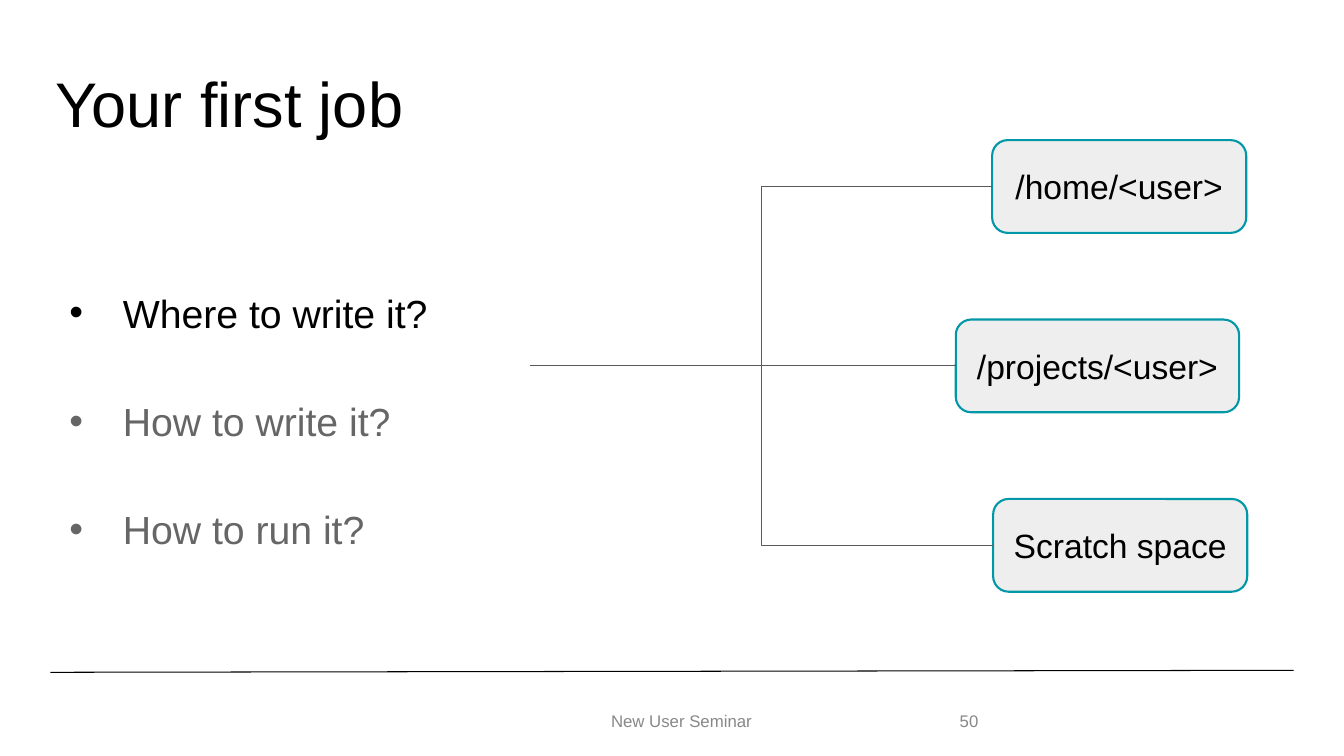
from dataclasses import dataclass

from lxml import etree
from pptx import Presentation
from pptx import util as u
from pptx.dml.color import RGBColor
from pptx.enum import shapes, text
from pptx.oxml.ns import qn

EMU_PER_PX = 9144  # 100 px to the inch
FONT = "Arial"
BLACK = RGBColor(0x00, 0x00, 0x00)
GREY = RGBColor(0x66, 0x66, 0x66)
FOOTER_GREY = RGBColor(0x88, 0x88, 0x88)
BRANCH_GREY = RGBColor(0x59, 0x59, 0x59)
BOX_FILL = RGBColor(0xEE, 0xEE, 0xEE)
TEAL = RGBColor(0x00, 0x97, 0xA7)


@dataclass
class Label:
    wording: str
    left: int
    top: int
    width: int
    height: int
    size: int
    color: RGBColor
    align: text.PP_ALIGN = text.PP_ALIGN.LEFT
    line_spacing: float = 1.0


@dataclass
class Location:
    wording: str
    left: int
    width: int
    branch: shapes.MSO_CONNECTOR


@dataclass
class Question:
    wording: str
    color: RGBColor


LABELS = [
    Label("Your first job", 45, 65, 1242, 83, 45, BLACK, line_spacing=0.9),
    Label("New User Seminar", 451, 695, 450, 40, 12, FOOTER_GREY, text.PP_ALIGN.CENTER),
    Label("50", 942, 695, 75, 40, 12, FOOTER_GREY),
]
QUESTIONS = [
    Question("Where to write it?", BLACK),
    Question("How to write it?", GREY),
    Question("How to run it?", GREY),
]
LOCATIONS = [
    Location("/home/<user>", 984, 252, shapes.MSO_CONNECTOR.ELBOW),
    Location("/projects/<user>", 948, 281, shapes.MSO_CONNECTOR.STRAIGHT),
    Location("Scratch space", 985, 252, shapes.MSO_CONNECTOR.ELBOW),
]
LOCATION_TOP, LOCATION_PITCH, LOCATION_HEIGHT = 139, 178, 92
BRANCH_START = (526, 363)


def px(length: int) -> u.Emu:
    return u.Emu(length * EMU_PER_PX)


def set_font(paragraph, size: int, color: RGBColor) -> None:
    paragraph.font.name = FONT
    paragraph.font.size = u.Pt(size)
    paragraph.font.color.rgb = color


def add_bullet(paragraph, color: RGBColor) -> None:
    properties = paragraph._p.get_or_add_pPr()
    properties.set("marL", str(px(67)))
    properties.set("indent", str(px(-53)))
    bullet_color = etree.SubElement(properties, qn("a:buClr"))
    etree.SubElement(bullet_color, qn("a:srgbClr"), val=str(color))
    etree.SubElement(properties, qn("a:buFont"), typeface=FONT)
    etree.SubElement(properties, qn("a:buChar"), char="•")


def add_line(slide, kind: shapes.MSO_CONNECTOR, start: tuple[int, int],
             end: tuple[int, int], color: RGBColor):
    line = slide.shapes.add_connector(kind, *map(px, start + end))
    line.line.color.rgb = color
    line.line.width = u.Pt(0.75)
    etree.SubElement(line._element.spPr, qn("a:effectLst"))
    return line


def add_label(slide, label: Label) -> None:
    box = slide.shapes.add_textbox(px(label.left), px(label.top),
                                   px(label.width), px(label.height))
    frame = box.text_frame
    frame.word_wrap = True
    frame.vertical_anchor = text.MSO_ANCHOR.MIDDLE
    paragraph = frame.paragraphs[0]
    paragraph.text = label.wording
    paragraph.alignment = label.align
    paragraph.line_spacing = label.line_spacing
    set_font(paragraph, label.size, label.color)


def add_questions(slide, questions: list[Question]) -> None:
    frame = slide.shapes.add_textbox(px(45), px(235), px(513), px(389)).text_frame
    frame.word_wrap = True
    for index, question in enumerate(questions):
        paragraph = frame.add_paragraph() if index else frame.paragraphs[0]
        paragraph.text = question.wording
        add_bullet(paragraph, question.color)
        paragraph.line_spacing = 2.0
        paragraph.space_before = u.Pt(10 if index else 0)
        set_font(paragraph, 28, question.color)


def add_location(slide, location: Location, top: int) -> None:
    box = slide.shapes.add_shape(
        shapes.MSO_SHAPE.ROUNDED_RECTANGLE, px(location.left), px(top),
        px(location.width), px(LOCATION_HEIGHT))
    box.shadow.inherit = False
    box.fill.solid()
    box.fill.fore_color.rgb = BOX_FILL
    box.line.color.rgb = TEAL
    box.line.width = u.Pt(1.5)

    frame = box.text_frame
    frame.word_wrap = True
    frame.vertical_anchor = text.MSO_ANCHOR.MIDDLE
    frame.margin_left = frame.margin_right = px(13)
    frame.margin_top = frame.margin_bottom = px(13)
    paragraph = frame.paragraphs[0]
    paragraph.text = location.wording
    paragraph.alignment = text.PP_ALIGN.CENTER
    set_font(paragraph, 24, BLACK)

    # Branch from the question to the box
    end = (location.left, top + LOCATION_HEIGHT // 2)
    branch = add_line(slide, location.branch, BRANCH_START, end, BRANCH_GREY)
    branch.end_connect(box, 1)


def main() -> None:
    presentation = Presentation()
    presentation.slide_width = px(1333)
    presentation.slide_height = px(750)
    slide = presentation.slides.add_slide(presentation.slide_layouts[6])

    # Footer rule, title and footer
    add_line(slide, shapes.MSO_CONNECTOR.STRAIGHT, (50, 667), (1283, 665), BLACK)
    for label in LABELS:
        add_label(slide, label)

    # Questions and the places to write a job
    add_questions(slide, QUESTIONS)
    for row, location in enumerate(LOCATIONS):
        add_location(slide, location, LOCATION_TOP + row * LOCATION_PITCH)

    presentation.save("out.pptx")


if __name__ == "__main__":
    main()
